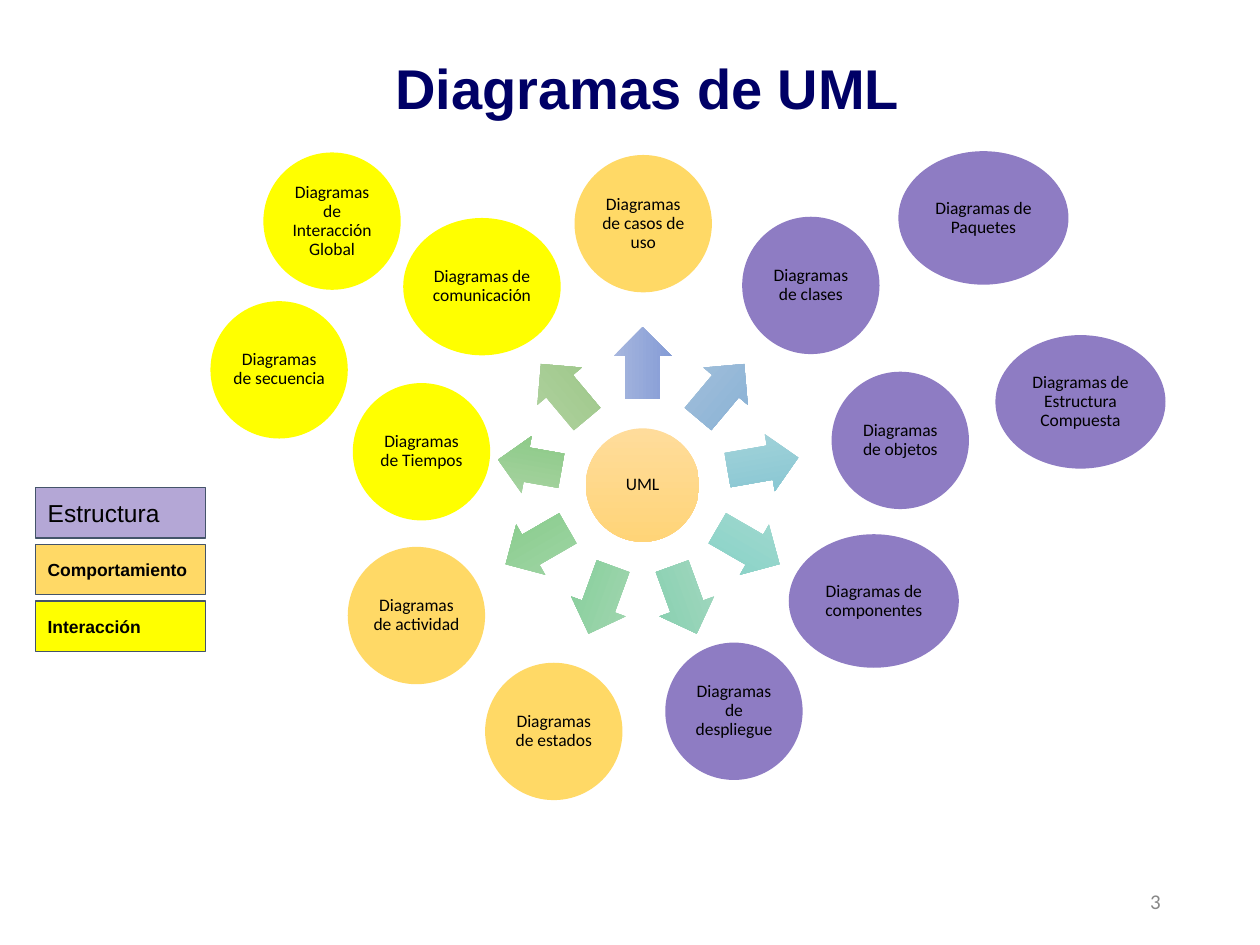
import math
from collections import namedtuple

from pptx import Presentation
from pptx import util as u
from pptx.dml.color import RGBColor
from pptx.enum import shapes, text

Box = namedtuple("Box", "left top width height")

NAVY = RGBColor(0x00, 0x00, 0x66)
BLACK = RGBColor(0x00, 0x00, 0x00)
GREY = RGBColor(0x88, 0x88, 0x88)
SLATE = RGBColor(0x44, 0x54, 0x6A)
PURPLE = RGBColor(0x8E, 0x7C, 0xC3)
LILAC = RGBColor(0xB4, 0xA7, 0xD6)
GOLD = RGBColor(0xFF, 0xD9, 0x66)
YELLOW = RGBColor(0xFF, 0xFF, 0x00)
HUB_COLORS = RGBColor(0xFF, 0xDC, 0x9B), RGBColor(0xFF, 0xD4, 0x78)
ARROW_COLORS = [
    (RGBColor(0xA6, 0xB6, 0xDE), RGBColor(0x85, 0x9C, 0xD6)),
    (RGBColor(0xA6, 0xC2, 0xDC), RGBColor(0x85, 0xAF, 0xD4)),
    (RGBColor(0xA5, 0xD3, 0xDA), RGBColor(0x85, 0xC6, 0xD2)),
    (RGBColor(0xA5, 0xDA, 0xD2), RGBColor(0x84, 0xD1, 0xC4)),
    (RGBColor(0xA5, 0xD8, 0xC1), RGBColor(0x84, 0xCF, 0xAE)),
    (RGBColor(0xA5, 0xD7, 0xB3), RGBColor(0x84, 0xCE, 0x99)),
    (RGBColor(0xA4, 0xD6, 0xA8), RGBColor(0x84, 0xCB, 0x89)),
    (RGBColor(0xA9, 0xD4, 0xA4), RGBColor(0x8A, 0xC9, 0x84)),
    (RGBColor(0xB3, 0xD3, 0xA4), RGBColor(0x9A, 0xC6, 0x84)),
]

ROUND = (1.09, 1.09)
MEDIUM = (1.25, 1.09)
WIDE = (1.35, 1.06)
DIAGRAMS = [
    ("Diagramas de casos de uso", 2.89, 0.03, ROUND, GOLD),
    ("Diagramas de clases", 4.22, 0.52, ROUND, PURPLE),
    ("Diagramas de objetos", 4.93, 1.75, ROUND, PURPLE),
    ("Diagramas de secuencia", 0, 1.19, ROUND, YELLOW),
    ("Diagramas de comunicación", 1.53, 0.53, MEDIUM, YELLOW),
    ("Diagramas de estados", 2.18, 4.06, ROUND, GOLD),
    ("Diagramas de actividad", 1.09, 3.14, ROUND, GOLD),
    ("Diagramas de despliegue", 3.61, 3.9, ROUND, PURPLE),
    ("Diagramas de Estructura Compuesta", 6.23, 1.46, WIDE, PURPLE),
    ("Diagramas de Interacción Global", 0.42, 0.01, ROUND, YELLOW),
    ("Diagramas de Tiempos", 1.13, 1.84, ROUND, YELLOW),
    ("Diagramas de Paquetes", 5.46, 0, WIDE, PURPLE),
    ("Diagramas de componentes", 4.59, 3.04, WIDE, PURPLE),
]
LEGEND = [
    ("Estructura", LILAC, 14, False),
    ("Comportamiento", GOLD, 10, True),
    ("Interacción", YELLOW, 10, True),
]


def inches(*values):
    """Return a box of lengths given in inches."""
    return Box(*map(u.Inches, values))


def write(shape, words, font, size, color, align, bold=False, spacing=None, inset=None):
    """Write one formatted, vertically centred paragraph in a shape."""
    frame = shape.text_frame
    frame.word_wrap = True
    frame.vertical_anchor = text.MSO_ANCHOR.MIDDLE
    if inset is not None:
        frame.margin_left = frame.margin_right = u.Inches(inset)
        frame.margin_top = frame.margin_bottom = u.Inches(inset)
    para = frame.paragraphs[0]
    para.text = words
    para.alignment = align
    para.line_spacing = spacing
    para.font.name = font
    para.font.size = u.Pt(size)
    para.font.bold = bold
    para.font.color.rgb = color


def add_figure(page, kind, box, colors):
    """Add an unlined shape with a solid color or a pair of gradient colors."""
    figure = page.shapes.add_shape(kind, *box)
    figure.shadow.inherit = False
    figure.line.fill.background()
    if isinstance(colors, RGBColor):
        figure.fill.solid()
        figure.fill.fore_color.rgb = colors
    else:
        figure.fill.gradient()
        figure.fill.gradient_angle = 270
        for stop, color in zip(figure.fill.gradient_stops, colors):
            stop.color.rgb = color
    return figure


def add_bubble(page, box, words, colors):
    """Add a labelled ellipse."""
    bubble = add_figure(page, shapes.MSO_SHAPE.OVAL, box, colors)
    write(bubble, words, "Calibri", 10, BLACK, text.PP_ALIGN.CENTER, spacing=0.9, inset=0.01)


def add_title(page, box):
    """Place and format the slide title."""
    title = page.shapes.title
    title.left, title.top, title.width, title.height = box
    write(title, "Diagramas de UML", "Arial", 32, NAVY, text.PP_ALIGN.CENTER, True, 0.9)


def add_hub(page, box):
    """Place the central circle with its ring of outward arrows."""
    side, height = u.Inches(0.9), u.Inches(0.46)
    center_x, center_y = box.left + box.width // 2, box.top + box.height // 2
    hub = Box(center_x - side // 2, center_y - side // 2, side, side)
    add_bubble(page, hub, "UML", HUB_COLORS)
    for index, colors in enumerate(ARROW_COLORS):
        angle = (270 + index * 360 // len(ARROW_COLORS)) % 360
        length, radius = (0.51, 0.91) if angle == 190 else (0.57, 0.97)
        length, radius = u.Inches(length), u.Inches(radius)
        x = center_x + radius * math.cos(math.radians(angle))
        y = center_y + radius * math.sin(math.radians(angle))
        place = Box(int(x - length / 2), int(y - height / 2), length, height)
        arrow = add_figure(page, shapes.MSO_SHAPE.RIGHT_ARROW, place, colors)
        arrow.adjustments[0], arrow.adjustments[1] = 0.6, 0.5
        arrow.rotation = angle


def add_diagrams(page, box):
    """Place the bubble of each diagram type."""
    for words, left, top, (width, height), color in DIAGRAMS:
        place = Box(box.left + u.Inches(left), box.top + u.Inches(top),
                    u.Inches(width), u.Inches(height))
        add_bubble(page, place, words, color)


def add_legend(page, box):
    """Stack the color key in equal rows."""
    row_height, gap = u.Inches(0.4), u.Inches(0.05)
    for index, (words, color, size, bold) in enumerate(LEGEND):
        place = box._replace(top=box.top + index * (row_height + gap), height=row_height)
        key = add_figure(page, shapes.MSO_SHAPE.RECTANGLE, place, color)
        key.line.color.rgb = SLATE
        key.line.width = u.Pt(0.75)
        write(key, words, "Arial", size, BLACK, text.PP_ALIGN.LEFT, bold, inset=0.1)


def add_page_number(page, box):
    """Place the page number."""
    number = page.shapes.add_textbox(*box)
    write(number, "3", "Calibri", 12, GREY, text.PP_ALIGN.RIGHT)


def main():
    """Build and save the slide."""
    deck = Presentation()
    deck.slide_width, deck.slide_height = u.Inches(10), u.Inches(7.5)
    page = deck.slides.add_slide(deck.slide_layouts[5])
    add_title(page, inches(0.83, 0, 8.62, 1.45))
    add_hub(page, inches(3.9, 2.65, 2.4, 2.4))
    add_diagrams(page, inches(1.67, 1.2, 7.58, 5.15))
    add_legend(page, inches(0.28, 3.87, 1.35, 1.3))
    add_page_number(page, inches(7.06, 6.95, 2.25, 0.4))
    deck.save("out.pptx")


if __name__ == "__main__":
    main()
